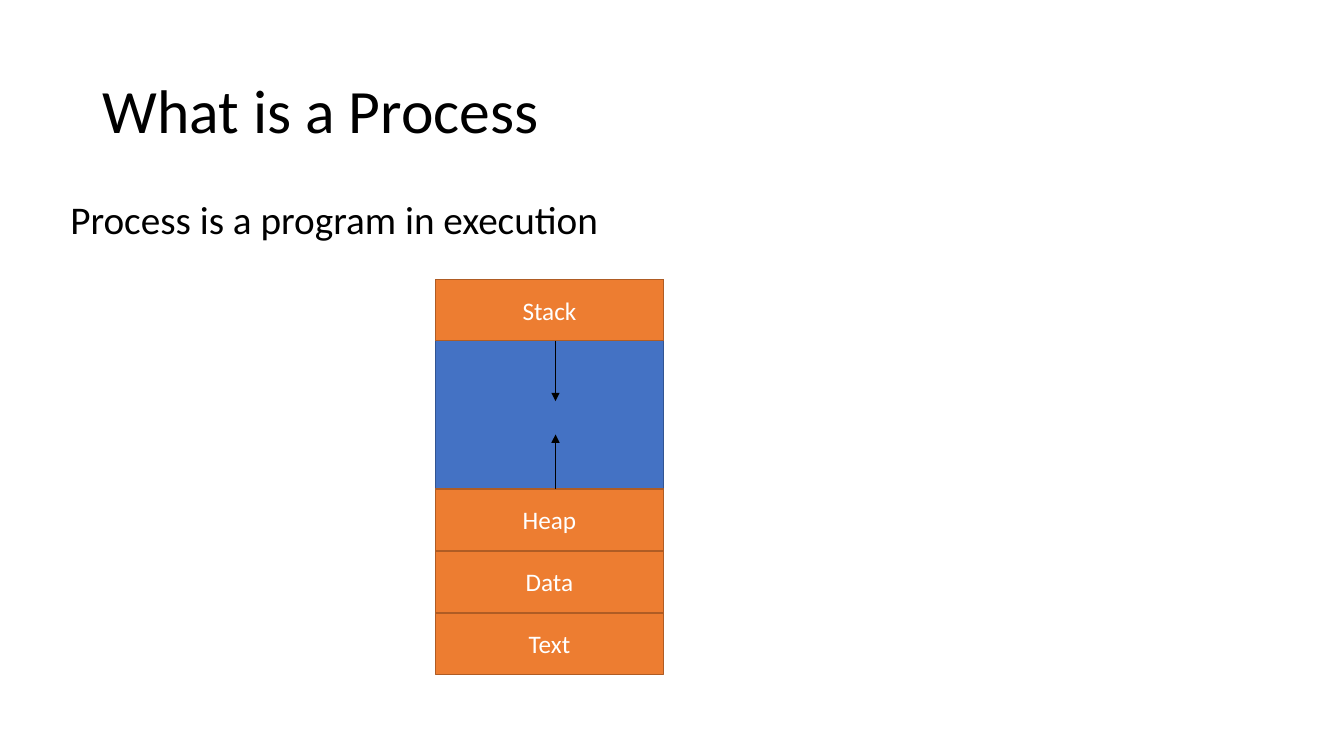
from lxml import etree
from pptx import Presentation
from pptx.dml.color import RGBColor
from pptx.enum.shapes import MSO_CONNECTOR, MSO_SHAPE
from pptx.enum.text import MSO_ANCHOR, MSO_AUTO_SIZE, PP_ALIGN
from pptx.oxml.ns import qn
from pptx.util import Inches, Pt

RECTANGLE = MSO_SHAPE.RECTANGLE
STRAIGHT = MSO_CONNECTOR.STRAIGHT
TOP, MIDDLE = MSO_ANCHOR.TOP, MSO_ANCHOR.MIDDLE
LEFT, CENTER = PP_ALIGN.LEFT, PP_ALIGN.CENTER
NO_AUTOFIT = MSO_AUTO_SIZE.NONE

BLACK = RGBColor(0x00, 0x00, 0x00)
WHITE = RGBColor(0xFF, 0xFF, 0xFF)
BLUE = RGBColor(0x44, 0x72, 0xC4)
DARK_BLUE = RGBColor(0x32, 0x54, 0x91)
ORANGE = RGBColor(0xED, 0x7D, 0x31)
DARK_ORANGE = RGBColor(0xAF, 0x5C, 0x24)

FONT = "Calibri"
MEMORY_LEFT, MEMORY_TOP = 4.32, 2.77
MEMORY_WIDTH, MEMORY_HEIGHT = 2.26, 3.89
SEGMENT_HEIGHT = 0.61
HEAP_TOP, SEGMENT_PITCH = 4.85, 0.615
ARROW_X = 5.51


def write_text(s, text, size, color, align=LEFT, anchor=MIDDLE, spacing=1.0):
    """Put one formatted paragraph into a shape."""
    tf = s.text_frame
    tf.word_wrap = True
    tf.auto_size = NO_AUTOFIT
    tf.vertical_anchor = anchor
    tf.text = text
    p = tf.paragraphs[0]
    p.alignment = align
    p.line_spacing = spacing
    p.font.name = FONT
    p.font.size = Pt(size)
    p.font.color.rgb = color


def add_title(slide, text):
    """Move the title placeholder and fill it."""
    s = slide.shapes.title
    s.left, s.top = Inches(0.92), Inches(0.4)
    s.width, s.height = Inches(11.5), Inches(1.45)
    write_text(s, text, 44, BLACK, spacing=0.9)


def add_definition(slide, text):
    """Add the line of text below the title."""
    s = slide.shapes.add_textbox(Inches(0.6), Inches(1.94), Inches(10.23), Inches(0.61))
    write_text(s, text, 28, BLACK, anchor=TOP, spacing=0.9)


def add_block(slide, top, height, fill, line):
    """Add a rectangle as wide as the memory column."""
    s = slide.shapes.add_shape(RECTANGLE, Inches(MEMORY_LEFT), Inches(top),
                               Inches(MEMORY_WIDTH), Inches(height))
    s.shadow.inherit = False
    s.fill.solid()
    s.fill.fore_color.rgb = fill
    s.line.color.rgb = line
    s.line.width = Pt(1)
    return s


def add_segment(slide, name, top):
    """Add a labelled memory segment."""
    s = add_block(slide, top, SEGMENT_HEIGHT, ORANGE, DARK_ORANGE)
    write_text(s, name, 18, WHITE, align=CENTER)


def add_growth_arrow(slide, start, end):
    """Add a vertical arrow showing which way a segment grows."""
    x = Inches(ARROW_X)
    s = slide.shapes.add_connector(STRAIGHT, x, Inches(start), x, Inches(end))
    s.line.color.rgb = BLACK
    s.line.width = Pt(0.5)
    etree.SubElement(s.line._get_or_add_ln(), qn("a:tailEnd"), type="triangle")
    etree.SubElement(s._element.spPr, qn("a:effectLst"))


def main():
    """Build the slide and save it."""
    prs = Presentation()
    prs.slide_width, prs.slide_height = Inches(13.33), Inches(7.5)
    slide = prs.slides.add_slide(prs.slide_layouts.get_by_name("Title Only"))
    add_title(slide, "What is a Process")
    add_definition(slide, "Process is a program in execution")
    add_block(slide, MEMORY_TOP, MEMORY_HEIGHT, BLUE, DARK_BLUE)
    add_segment(slide, "Stack", MEMORY_TOP)
    for i, name in enumerate(("Heap", "Data", "Text")):
        add_segment(slide, name, HEAP_TOP + i * SEGMENT_PITCH)
    add_growth_arrow(slide, HEAP_TOP, 4.31)
    add_growth_arrow(slide, MEMORY_TOP + SEGMENT_HEIGHT, 3.98)
    prs.save("out.pptx")


if __name__ == "__main__":
    main()
